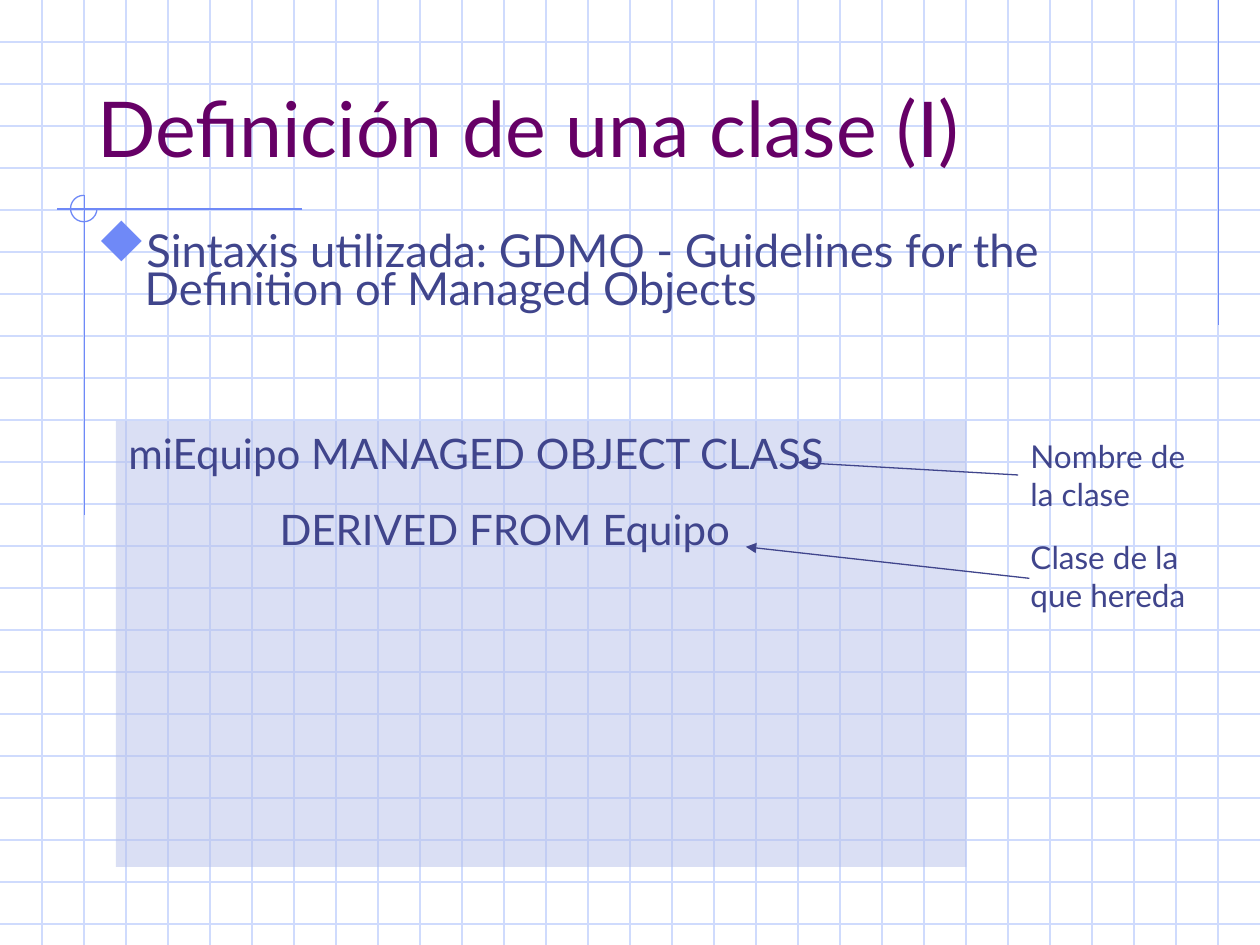
from lxml.etree import SubElement
from pptx import Presentation
from pptx.dml.color import RGBColor
from pptx.enum.shapes import MSO_CONNECTOR, MSO_SHAPE
from pptx.enum.text import MSO_ANCHOR, PP_ALIGN
from pptx.oxml.ns import qn
from pptx.util import Inches, Pt

WIDTH, HEIGHT = 10, 7.5
FONT = "Lato"
BULLET_FONT, BULLET = "Wingdings", "u"
COLORS = {
    "grid": "CFDBFD",
    "accent": "6F89F7",
    "title": "660066",
    "text": "40458C",
    "panel": "B7C1EB",
}
TITLE = "Definición de una clase (I)"
SYNTAX = "Sintaxis utilizada: GDMO - Guidelines for the Definition of Managed Objects"
CODE = [("miEquipo MANAGED OBJECT CLASS", 0), ("DERIVED FROM Equipo", 1.2)]
LABELS = [("Nombre de la clase", 3.42), ("Clase de la que hereda", 4.22)]
ARROWS = [((8.08, 3.77), (6.33, 3.67)), ((8.17, 4.59), (5.92, 4.34))]
ACCENT_LINES = [
    ((9.67, 0), (9.67, 2.58)),
    ((2.4, 1.66), (0.45, 1.66)),
    ((0.67, 1.55), (0.67, 4.09)),
]


def color(name):
    return RGBColor.from_string(COLORS[name])


def add_line(page, start, end, name):
    line = page.shapes.add_connector(
        MSO_CONNECTOR.STRAIGHT, *(Inches(value) for value in (*start, *end))
    )
    line.line.color.rgb = color(name)
    line.line.width = Pt(0.75)
    SubElement(line._element.spPr, qn("a:effectLst"))
    return line


def add_arrow(page, start, end):
    arrow = add_line(page, start, end, "text")
    SubElement(arrow.line._get_or_add_ln(), qn("a:tailEnd"), type="triangle")
    return arrow


def add_box(page, left, top, width, height):
    box = page.shapes.add_textbox(*(Inches(v) for v in (left, top, width, height)))
    box.text_frame.word_wrap = True
    return box


def style(paragraph, size, name="text"):
    paragraph.alignment = PP_ALIGN.LEFT
    for span in paragraph.runs:
        span.font.name = FONT
        span.font.size = Pt(size)
        span.font.color.rgb = color(name)


def add_background(page):
    for row in range(1, int(HEIGHT * 3) + 1):
        add_line(page, (0, row / 3), (WIDTH, row / 3), "grid")
    for column in range(1, WIDTH * 3):
        add_line(page, (column / 3, 0), (column / 3, HEIGHT), "grid")
    for start, end in ACCENT_LINES:
        add_line(page, start, end, "accent")
    arc = page.shapes.add_shape(
        MSO_SHAPE.ARC, Inches(0.56), Inches(1.55), Inches(0.21), Inches(0.21)
    )
    arc.adjustments[0] = 0
    arc.adjustments[1] = 162
    arc.shadow.inherit = False
    arc.fill.background()
    arc.line.color.rgb = color("accent")
    arc.line.width = Pt(0.75)


def add_title(page):
    title = page.shapes.title
    page.shapes._spTree.append(title._element)
    title.left, title.top = Inches(0.67), Inches(0.5)
    title.width, title.height = Inches(8.5), Inches(0.92)
    title.text_frame.text = TITLE
    title.text_frame.vertical_anchor = MSO_ANCHOR.BOTTOM
    style(title.text_frame.paragraphs[0], 44, "title")


def add_syntax(page):
    box = add_box(page, 0.67, 1.83, 8.5, 0.75)
    para = box.text_frame.paragraphs[0]
    para.text = SYNTAX
    para.line_spacing = 0.7
    properties = para._p.get_or_add_pPr()
    properties.set("marL", str(Inches(0.38)))
    properties.set("indent", str(Inches(-0.38)))
    bullet_color = SubElement(properties, qn("a:buClr"))
    SubElement(bullet_color, qn("a:srgbClr"), val=COLORS["accent"])
    SubElement(properties, qn("a:buSzPct"), val="110000")
    SubElement(properties, qn("a:buFont"), typeface=BULLET_FONT, charset="2")
    SubElement(properties, qn("a:buChar"), char=BULLET)
    style(para, 25.9)


def add_code(page):
    panel = page.shapes.add_shape(
        MSO_SHAPE.RECTANGLE, Inches(0.92), Inches(3.34), Inches(6.75), Inches(3.54)
    )
    panel.shadow.inherit = False
    panel.line.fill.background()
    panel.fill.solid()
    panel.fill.fore_color.rgb = color("panel")
    fill = panel._element.spPr.find(qn("a:solidFill"))
    SubElement(fill[0], qn("a:alpha"), val="50000")
    frame = panel.text_frame
    frame.vertical_anchor = MSO_ANCHOR.TOP
    frame.text = "\n".join(text for text, _ in CODE)
    for para, (_, indent) in zip(frame.paragraphs, CODE):
        para._p.get_or_add_pPr().set("marL", str(Inches(indent)))
        style(para, 24)
    for para in frame.paragraphs[1:]:
        para.space_before = Pt(15)


def add_labels(page):
    labels = []
    for text, top in LABELS:
        label = add_box(page, 8.08, top, 1.58, 0.7)
        label.text_frame.text = text
        style(label.text_frame.paragraphs[0], 18)
        labels.append(label)
    class_arrow, _ = [add_arrow(page, start, end) for start, end in ARROWS]
    class_arrow.begin_connect(labels[0], 1)


def main():
    """Build the slide on the definition of a class and save it."""
    deck = Presentation()
    deck.slide_width, deck.slide_height = Inches(WIDTH), Inches(HEIGHT)
    page = deck.slides.add_slide(deck.slide_layouts[5])
    add_background(page)
    add_title(page)
    add_syntax(page)
    add_code(page)
    add_labels(page)
    deck.save("out.pptx")


if __name__ == "__main__":
    main()
